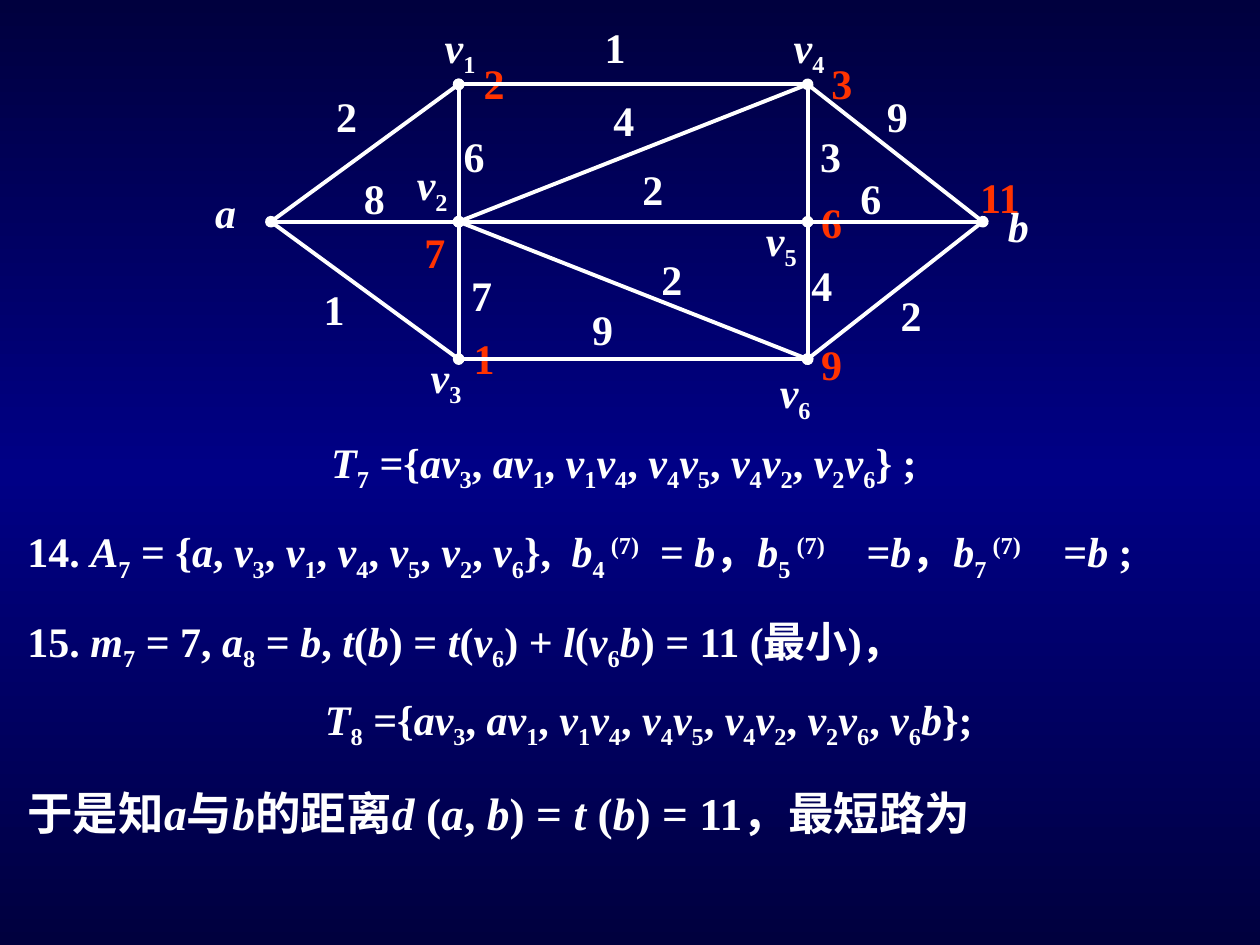
from copy import deepcopy
from itertools import groupby

from lxml.etree import SubElement
from pptx import Presentation
from pptx.dml.color import RGBColor
from pptx.enum.shapes import MSO_CONNECTOR as Line
from pptx.enum.text import MSO_ANCHOR as Anchor, MSO_AUTO_SIZE as Fit
from pptx.oxml.ns import qn
from pptx.util import Pt

WHITE = RGBColor(0xFF, 0xFF, 0xFF)
RED = RGBColor(0xFF, 0x33, 0x00)
NAVY = RGBColor(0x00, 0x00, 0x3E)
BLUE = RGBColor(0x00, 0x00, 0x86)

LEFT, MID, RIGHT, END = 154.8, 262.1, 461.5, 561.6
TOP, STEP = 48.2, 78.5
ROWS = [TOP + STEP * i for i in range(3)]
NODES = {
    "a": (LEFT, ROWS[1]), "b": (END, ROWS[1]),
    "v1": (MID, ROWS[0]), "v2": (MID, ROWS[1]), "v3": (MID, ROWS[2]),
    "v4": (RIGHT, ROWS[0]), "v5": (RIGHT, ROWS[1]), "v6": (RIGHT, ROWS[2]),
}
PLAIN = ["v1 v4", "a v3", "a v2", "v4 v6", "v3 v6", "v5 b", "v4 b"]
DOTTED = ["v1 a", "v1 v3", "v2 v5", "b v6", "v4 v2", "v2 v6"]

COSTS = [
    ("7", 235.4, 126), ("9", 462.2, 190.1), ("2", 269.3, 29.5),
    ("3", 468, 29.5), ("6", 462.2, 108.7), ("1", 263.5, 186.5),
]
WEIGHTS = [
    ("8", 200.9, 95), ("1", 177.8, 158.4), ("2", 185, 48.2),
    ("6", 257.8, 71.3), ("1", 338.4, 8.6), ("4", 343.4, 50.4),
    ("2", 360, 90), ("2", 370.8, 141.1), ("7", 262.1, 150.5),
    ("9", 331.2, 169.9), ("2", 507.6, 162), ("4", 456.5, 144.7),
    ("6", 484.6, 95), ("9", 499.7, 48.2), ("3", 461.5, 71.3),
]
NAMES = [
    ("a", 115.9, 103), ("v_1", 247, 8.6), ("v_2", 231.1, 87.1),
    ("v_3", 239, 197.3), ("v_4", 446.4, 8.6), ("v_5", 430.6, 118.8),
    ("v_6", 438.5, 205.9), ("b", 568.8, 110.9),
]

TREE = "={av_3_, av_1_, v_1_v_4_, v_4_v_5_, v_4_v_2_, v_2_v_6_"
# text, left, top, width, size, tab stops
FORMULAS = [
    (f"T_7_ {TREE}}} ;", 182.2, 245.5, 376.6, 24, ()),
    ("14. A_7_ = {a, v_3_, v_1_, v_4_, v_5_, v_2_, v_6_},\tb_4 _^(7)^\t= b，"
     "b_5 _^(7)^\t=b，b_7 _^(7)^\t=b ;",
     8.6, 296.6, 686.2, 24, (311, 361.5, 479.5, 592)),
    ("15. m_7_ = 7, a_8_ = b, t(b) = t(v_6_) + l(v_6_b) = 11 (最小)，",
     8.6, 347.8, 617.8, 24, ()),
    (f"T_8_ {TREE}, v_6_b}};", 178.6, 392.4, 402.5, 24, ()),
    ("于是知a与b的距离d (a, b) = t (b) = 11，最短路为",
     8.6, 444.2, 595.4, 26, ()),
]


def pieces(text):
    """Split into (baseline, italic, text); _ toggles subscript, ^ superscript."""
    marks = {"_": -25000, "^": 30000}
    base, chars = 0, []
    for c in text:
        if c in marks:
            base = 0 if base else marks[c]
        else:
            chars.append((base, c.isascii() and c.isalpha(), c))
    for key, run in groupby(chars, lambda t: t[:2]):
        yield *key, "".join(t[2] for t in run)


class Board:
    """Holds the text and line style and the slide being drawn."""

    def __init__(self, slide):
        self.slide = slide
        self.style = {"name": "Times New Roman", "bold": True}
        self.weight = Pt(2.25)

    def back(self, *colors):
        fill = self.slide.background.fill
        fill.gradient()
        fill.gradient_angle = 270
        stop = next(self.slide.element.iter(qn("a:gs")))
        stop.addnext(deepcopy(stop))
        for i, (stop, color) in enumerate(zip(fill.gradient_stops, colors)):
            stop.position = i / (len(colors) - 1)
            stop.color.rgb = color

    def text(self, text, x, y, w, h=36, size=24, color=WHITE,
             anchor=Anchor.TOP, tabs=()):
        frame = self.slide.shapes.add_textbox(Pt(x), Pt(y), Pt(w), Pt(h)).text_frame
        for key, value in {"word_wrap": True, "auto_size": Fit.SHAPE_TO_FIT_TEXT,
                           "vertical_anchor": anchor}.items():
            setattr(frame, key, value)
        par = frame.paragraphs[0]
        if tabs:
            stops = SubElement(par._p.get_or_add_pPr(), qn("a:tabLst"))
            for pos in tabs:
                SubElement(stops, qn("a:tab"), pos=str(int(Pt(pos))), algn="l")
        for base, slant, part in pieces(text):
            run = par.add_run()
            run.text = part
            look = {**self.style, "size": Pt(size), "italic": slant}
            for key, value in look.items():
                setattr(run.font, key, value)
            run.font.color.rgb = color
            if base:
                run.font._element.set("baseline", str(base))

    def edge(self, start, end, dots=False):
        ends = [Pt(v) for v in (*start, *end)]
        link = self.slide.shapes.add_connector(Line.STRAIGHT, *ends)
        link.line.width = self.weight
        link.line.color.rgb = WHITE
        if dots:
            for tag in ("a:headEnd", "a:tailEnd"):
                SubElement(link.line._get_or_add_ln(), qn(tag), type="oval")
        SubElement(link._element.spPr, qn("a:effectLst"))


def main():
    deck = Presentation()
    deck.slide_width, deck.slide_height = Pt(720), Pt(540)
    board = Board(deck.slides.add_slide(deck.slide_layouts[6]))
    board.back(NAVY, BLUE, NAVY)

    for text, x, y, w, size, tabs in FORMULAS:
        board.text(text, x, y, w, 40.3, size, anchor=Anchor.MIDDLE, tabs=tabs)
    board.text("11", 553, 94.3, 51, color=RED)
    for cost in COSTS:
        board.text(*cost, 23, color=RED)
    for pairs, dots in ((PLAIN, False), (DOTTED, True)):
        for pair in pairs:
            board.edge(*(NODES[n] for n in pair.split()), dots)
    for label in WEIGHTS:
        board.text(*label, 40)
    for label in NAMES:
        board.text(*label, 40, 40.3 if "_" in label[0] else 36)
    deck.save("out.pptx")


if __name__ == "__main__":
    main()
